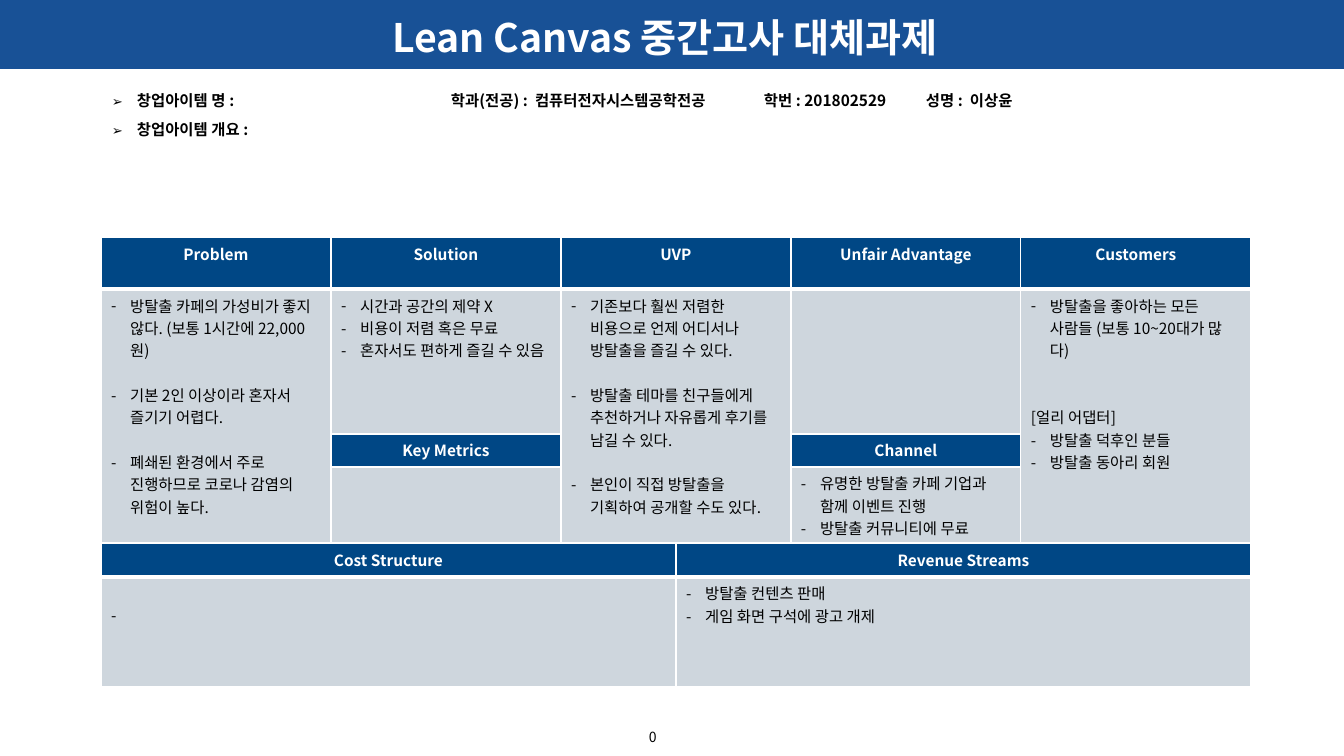
import pptx
import pptx.dml.color
import pptx.enum.shapes
import pptx.enum.text
import pptx.oxml
import pptx.oxml.ns
import pptx.util

SCALE = 914400 / 100.8
FONT = "Noto Sans CJK KR"
COLORS = {"banner": "185196", "header": "004785", "body": "CED6DD",
          "white": "FFFFFF", "black": "000000"}
ALIGN = pptx.enum.text.PP_ALIGN
ANCHOR = pptx.enum.text.MSO_ANCHOR
LINE_GAP = 16
SIDES = ("L", "R", "T", "B")


def px(length):
    return pptx.util.Emu(round(length * SCALE))


def color(name):
    return pptx.dml.color.RGBColor.from_string(COLORS[name])


def element(parent, tag, **attributes):
    child = pptx.oxml.parse_xml(f"<a:{tag} {pptx.oxml.ns.nsdecls('a')}/>")
    for name, value in attributes.items():
        child.set(name, str(value))
    parent.append(child)
    return child


def write(frame, text, size=11, ink="black", bold=False, align=ALIGN.LEFT,
          bullet=None, bullet_size=100, indent=19, before=0, spacing=None, tabs=()):
    para = frame.paragraphs[0]
    if para.runs:
        para = frame.add_paragraph()
    para.alignment = align
    para.space_before = pptx.util.Pt(before)
    if spacing:
        para.line_spacing = spacing
    properties = para._p.get_or_add_pPr()
    if bullet:
        properties.set("marL", str(px(indent)))
        properties.set("indent", str(-px(indent)))
        element(properties, "buSzPct", val=bullet_size * 1000)
        element(properties, "buFont", typeface=FONT)
        element(properties, "buChar", char=bullet)
    if tabs:
        stops = element(properties, "tabLst")
        for stop in tabs:
            element(stops, "tab", pos=px(stop), algn="l")
    span = para.add_run()
    span.text = text
    span.font.size = pptx.util.Pt(size)
    span.font.bold = bold
    span.font.color.rgb = color(ink)
    span.font.name = FONT
    element(span._r.get_or_add_rPr(), "ea", typeface=FONT)


class LeanCanvas:
    def __init__(self, page):
        self.page = page

    def banner(self, left, top, width, height):
        box = self.page.shapes.add_shape(
            pptx.enum.shapes.MSO_SHAPE.RECTANGLE, *map(px, (left, top, width, height)))
        box.shadow.inherit = False
        box.fill.solid()
        box.fill.fore_color.rgb = color("banner")
        box.line.color.rgb = color("banner")
        box.line.width = pptx.util.Pt(1)

    def text(self, left, top, width, height, lines, anchor=ANCHOR.TOP, inset=True, **style):
        box = self.page.shapes.add_textbox(*map(px, (left, top, width, height)))
        frame = box.text_frame
        frame.word_wrap = True
        frame.vertical_anchor = anchor
        if not inset:
            frame.margin_left = frame.margin_right = 0
            frame.margin_top = frame.margin_bottom = 0
        for line in lines:
            write(frame, line, **style)

    def table(self, left, top, columns, rows):
        frame = self.page.shapes.add_table(
            len(rows), len(columns), *map(px, (left, top, sum(columns), sum(rows))))
        grid = frame.table
        grid.first_row = grid.horz_banding = False
        for column, width in zip(grid.columns, columns):
            column.width = px(width)
        for row, height in zip(grid.rows, rows):
            row.height = px(height)
        for index, row in enumerate(grid.rows):
            for cell in row.cells:
                self.paint(cell, "body", {"T": 3} if index == 1 else {})
        return grid

    def paint(self, cell, fill, widths):
        cell.fill.solid()
        cell.fill.fore_color.rgb = color(fill)
        properties = cell._tc.get_or_add_tcPr()
        for position, side in enumerate(SIDES):
            line = element(properties, f"ln{side}", w=pptx.util.Pt(widths.get(side, 1)))
            element(element(line, "solidFill"), "srgbClr", val=COLORS["white"])
            properties.insert(position, line)

    def heading(self, cell, text, bottom=1):
        properties = cell._tc.get_or_add_tcPr()
        for side in SIDES:
            properties.remove(properties.find(pptx.oxml.ns.qn(f"a:ln{side}")))
        self.paint(cell, "header", {"B": bottom})
        write(cell.text_frame, text, ink="white", bold=True, align=ALIGN.CENTER)

    def notes(self, cell, items):
        for text, bullet, gap in items:
            write(cell.text_frame, text, bullet=bullet, before=gap * LINE_GAP)


HEADINGS = ("Problem", "Solution", "UVP", "Unfair Advantage", "Customers")
SUBHEADINGS = {1: "Key Metrics", 3: "Channel"}
NOTES = {
    (1, 0): [("방탈출 카페의 가성비가 좋지 않다. (보통 1시간에 22,000원)", "-", 0),
             ("기본 2인 이상이라 혼자서 즐기기 어렵다.", "-", 1),
             ("폐쇄된 환경에서 주로 진행하므로 코로나 감염의 위험이 높다.", "-", 1)],
    (1, 1): [("시간과 공간의 제약 X", "-", 0),
             ("비용이 저렴 혹은 무료", "-", 0),
             ("혼자서도 편하게 즐길 수 있음", "-", 0)],
    (1, 2): [("기존보다 훨씬 저렴한 비용으로 언제 어디서나 방탈출을 즐길 수 있다.", "-", 0),
             ("방탈출 테마를 친구들에게 추천하거나 자유롭게 후기를 남길 수 있다.", "-", 1),
             ("본인이 직접 방탈출을 기획하여 공개할 수도 있다.", "-", 1)],
    (1, 4): [("방탈출을 좋아하는 모든 사람들 (보통 10~20대가 많다)", "-", 0),
             ("[얼리 어댑터]", None, 2),
             ("방탈출 덕후인 분들", "-", 0),
             ("방탈출 동아리 회원", "-", 0)],
    (3, 3): [("유명한 방탈출 카페 기업과 함께 이벤트 진행", "-", 0),
             ("방탈출 커뮤니티에 무료", "-", 0)],
}
FINANCES = (("Cost Structure", [("-", None, 0)]),
            ("Revenue Streams", [("방탈출 컨텐츠 판매", "-", 0),
                                 ("게임 화면 구석에 광고 개제", "-", 0)]))
DETAILS = ("창업아이템 명 :\t학과(전공) :  컴퓨터전자시스템공학전공\t학번 : 201802529\t성명 :  이상윤",
           "창업아이템 개요 :")


def main():
    deck = pptx.Presentation()
    deck.slide_width, deck.slide_height = px(1344), px(756)
    canvas = LeanCanvas(deck.slides.add_slide(deck.slide_layouts[6]))

    canvas.text(649, 719, 45, 26, ["0"], anchor=ANCHOR.BOTTOM, inset=False, size=10)
    canvas.banner(0, 0, 1344, 68)
    canvas.text(220, 13, 890, 48, ["Lean Canvas 중간고사 대체과제"], anchor=ANCHOR.MIDDLE,
                size=28, ink="white", bold=True, align=ALIGN.CENTER)
    canvas.text(102, 77, 1151, 144, DETAILS, bold=True, bullet="➢", bullet_size=85,
                indent=25, before=1, spacing=1.5, tabs=(339, 652, 814))

    blocks = canvas.table(101, 237, [230] * 5, [52, 145, 33, 77])
    for column, title in enumerate(HEADINGS):
        canvas.heading(blocks.cell(0, column), title, bottom=3)
        if column in SUBHEADINGS:
            canvas.heading(blocks.cell(2, column), SUBHEADINGS[column])
        else:
            blocks.cell(1, column).merge(blocks.cell(3, column))
    for (row, column), items in NOTES.items():
        canvas.notes(blocks.cell(row, column), items)

    finances = canvas.table(101, 543, [575] * 2, [34, 110])
    for column, (title, items) in enumerate(FINANCES):
        canvas.heading(finances.cell(0, column), title, bottom=3)
        canvas.notes(finances.cell(1, column), items)
    finances.cell(1, 0).margin_top = px(27)
    deck.save("out.pptx")


if __name__ == "__main__":
    main()
